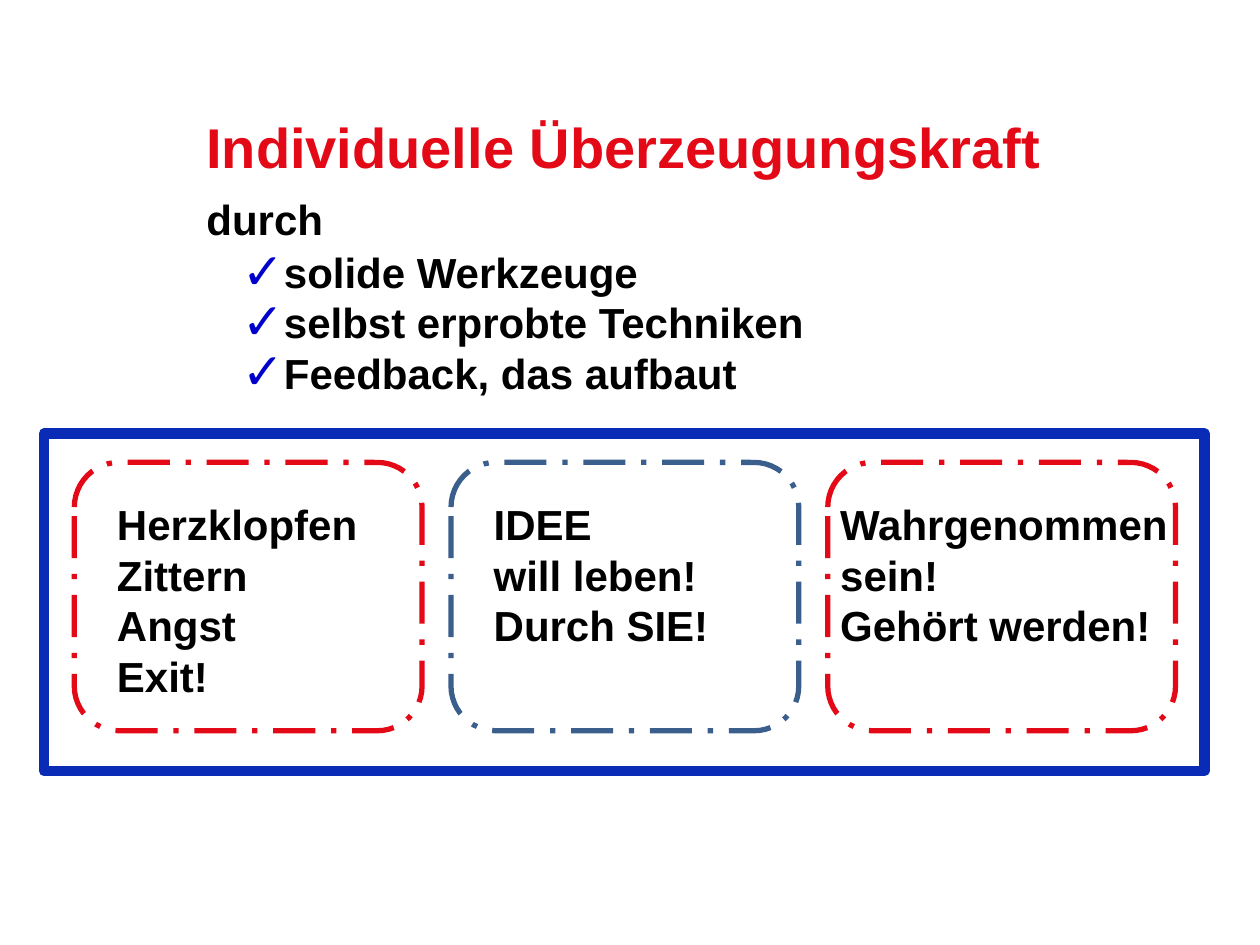
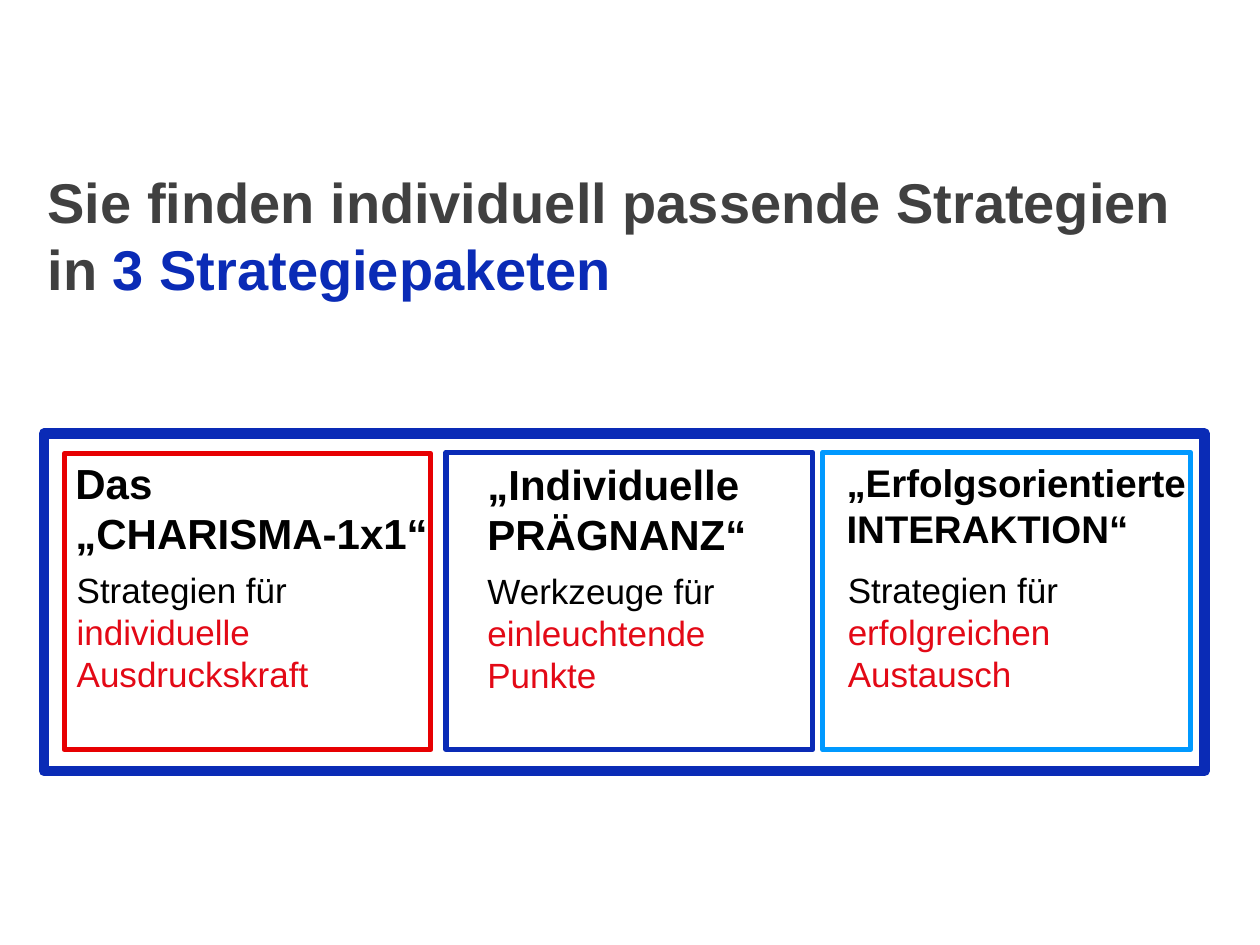
from lxml import etree
from pptx import Presentation
from pptx.dml.color import RGBColor
from pptx.enum import dml, shapes, text
from pptx.oxml import ns
from pptx.util import Inches, Pt

FONT = "Arial"
COLORS = {
    "black": "000000", "white": "FFFFFF", "grey": "404040", "red": "E30916",
    "frame_blue": "0A2BB6", "steel_blue": "3A5F8C", "check_blue": "0000CC",
    "signal_red": "E70002", "sky_blue": "0099FF",
}
BREAK = "\v"
FRAME = (0.35, 3.44, 9.21, 2.68)

# A paragraph is a list of runs: (text, size, colour, bold)
CONVICTION_TITLE = [
    ("Individuelle Überzeugungskraft", 32, "red", True), (BREAK,),
    ("durch", 24, "black", True), (" ", 32, "frame_blue", True),
]
CONVICTION_MEANS = ["solide Werkzeuge", "selbst erprobte Techniken", "Feedback, das aufbaut"]
CONVICTION_BOX = (1.54, 0.84, 7.09, 2.39)

# outline colour, text inset from the card, text width, lines
FEELINGS = [
    ("red", 0.24, 2.36, ["Herzklopfen", "Zittern", "Angst", "Exit!"]),
    ("steel_blue", 0.24, 2.36, ["IDEE", "will leben!", "Durch SIE!"]),
    ("red", 0, 2.83, ["Wahrgenommen", "sein!", "Gehört werden!"]),
]
FEELING_LEFT, FEELING_STEP = 0.59, 2.99

STRATEGY_TITLE = [
    [("Sie finden individuell passende Strategien", 32, "grey", True)],
    [("in", 32, "grey", True), (" 3 Strategiepaketen", 32, "frame_blue", True)],
]
STRATEGY_TITLE_BOX = (0.28, 1.28, 9.37, 1.18)

PACKAGES = [
    {
        "outline": "signal_red", "card": (0.51, 3.6, 2.91, 2.35),
        "heading_box": (0.5, 3.58, 3.23, 0.91), "margin": 0,
        "heading": [[("Das", 24, "black", True)], [("„CHARISMA-1x1“", 24, "black", True)]],
        "body_box": (0.51, 4.46, 2.91, 1.11),
        "body": [[("Strategien für ", 20, "black", False), (BREAK,),
                  ("individuelle Ausdruckskraft", 20, "red", False)]],
    },
    {
        "outline": "frame_blue", "card": (3.54, 3.59, 2.91, 2.36),
        "heading_box": (3.77, 3.59, 2.36, 0.91), "margin": 0,
        "heading": [[("„Individuelle PRÄGNANZ“", 24, "black", True)]],
        "body_box": (3.77, 4.47, 2.2, 1.11),
        "body": [[("Werkzeuge für", 20, "black", False),
                  (" einleuchtende Punkte", 20, "red", False)]],
    },
    {
        "outline": "sky_blue", "card": (6.53, 3.59, 2.92, 2.36),
        "heading_box": (6.28, 3.59, 3.35, 0.84), "margin": 0.34,
        "heading": [[("„Erfolgsorientierte", 22, "black", True), (BREAK,),
                     ("INTERAKTION“", 22, "black", True)]],
        "body_box": (6.63, 4.46, 2.61, 1.45),
        "body": [[("Strategien für", 20, "black", False)],
                 [("erfolgreichen", 20, "red", False)],
                 [("Austausch", 20, "red", False)]],
    },
]


def rgb(color):
    return RGBColor.from_string(COLORS[color])


def add_box(parent, kind, box, outline, width, fill=None, dash=None):
    shape = parent.add_shape(kind, *map(Inches, box))
    shape.shadow.inherit = False
    if fill:
        shape.fill.solid()
        shape.fill.fore_color.rgb = rgb(fill)
    else:
        shape.fill.background()
    shape.line.color.rgb = rgb(outline)
    shape.line.width = Pt(width)
    if dash:
        shape.line.dash_style = dash


def add_frame(slide):
    add_box(slide.shapes, shapes.MSO_SHAPE.RECTANGLE, FRAME, "frame_blue", 6, "white")


def set_indent(paragraph, margin, indent=0):
    properties = paragraph._p.get_or_add_pPr()
    properties.set("marL", str(Inches(margin)))
    properties.set("indent", str(Inches(indent)))
    return properties


def add_check_bullet(paragraph):
    paragraph.level = 1
    properties = set_indent(paragraph, 0.59, -0.31)
    color = etree.SubElement(properties, ns.qn("a:buClr"))
    etree.SubElement(color, ns.qn("a:srgbClr"), val=COLORS["check_blue"])
    etree.SubElement(properties, ns.qn("a:buSzPct"), val="120000")
    etree.SubElement(properties, ns.qn("a:buFont"), typeface=FONT)
    etree.SubElement(properties, ns.qn("a:buChar"), char="✓")


def add_text(parent, box, paragraphs, margin=0):
    """Add a text box and return its paragraphs."""
    frame = parent.add_textbox(*map(Inches, box)).text_frame
    frame.word_wrap = True
    frame.auto_size = text.MSO_AUTO_SIZE.SHAPE_TO_FIT_TEXT
    for index, runs in enumerate(paragraphs):
        paragraph = frame.add_paragraph() if index else frame.paragraphs[0]
        if margin:
            set_indent(paragraph, margin)
        for words, *style in runs:
            if words == BREAK:
                paragraph.add_line_break()
                continue
            size, color, bold = style
            run = paragraph.add_run()
            run.text = words
            run.font.name = FONT
            run.font.size = Pt(size)
            run.font.bold = bold
            run.font.color.rgb = rgb(color)
    return frame.paragraphs


def build_conviction(slide):
    add_frame(slide)
    for index, (outline, inset, width, lines) in enumerate(FEELINGS):
        left = FEELING_LEFT + index * FEELING_STEP
        add_box(slide.shapes, shapes.MSO_SHAPE.ROUNDED_RECTANGLE, (left, 3.67, 2.76, 2.13),
                outline, 3, dash=dml.MSO_LINE.LONG_DASH_DOT)
        height = 2.12 if len(lines) > 3 else 1.72
        add_text(slide.shapes, (left + inset, 3.91, width, height),
                 [[(line, 24, "black", True)] for line in lines])
    means = [[(line, 24, "black", True)] for line in CONVICTION_MEANS]
    paragraphs = add_text(slide.shapes, CONVICTION_BOX, [CONVICTION_TITLE] + means)
    for paragraph in paragraphs[1:]:
        add_check_bullet(paragraph)


def build_strategies(slide):
    add_frame(slide)
    for package in PACKAGES:
        group = slide.shapes.add_group_shape().shapes
        add_box(group, shapes.MSO_SHAPE.RECTANGLE, package["card"], package["outline"], 3, "white")
        add_text(group, package["heading_box"], package["heading"], package["margin"])
        add_text(group, package["body_box"], package["body"])
    add_text(slide.shapes, STRATEGY_TITLE_BOX, STRATEGY_TITLE)


def main():
    presentation = Presentation()
    presentation.slide_width, presentation.slide_height = Inches(10), Inches(7.5)
    for build in (build_conviction, build_strategies):
        build(presentation.slides.add_slide(presentation.slide_layouts[6]))
    presentation.save("out.pptx")


if __name__ == "__main__":
    main()
